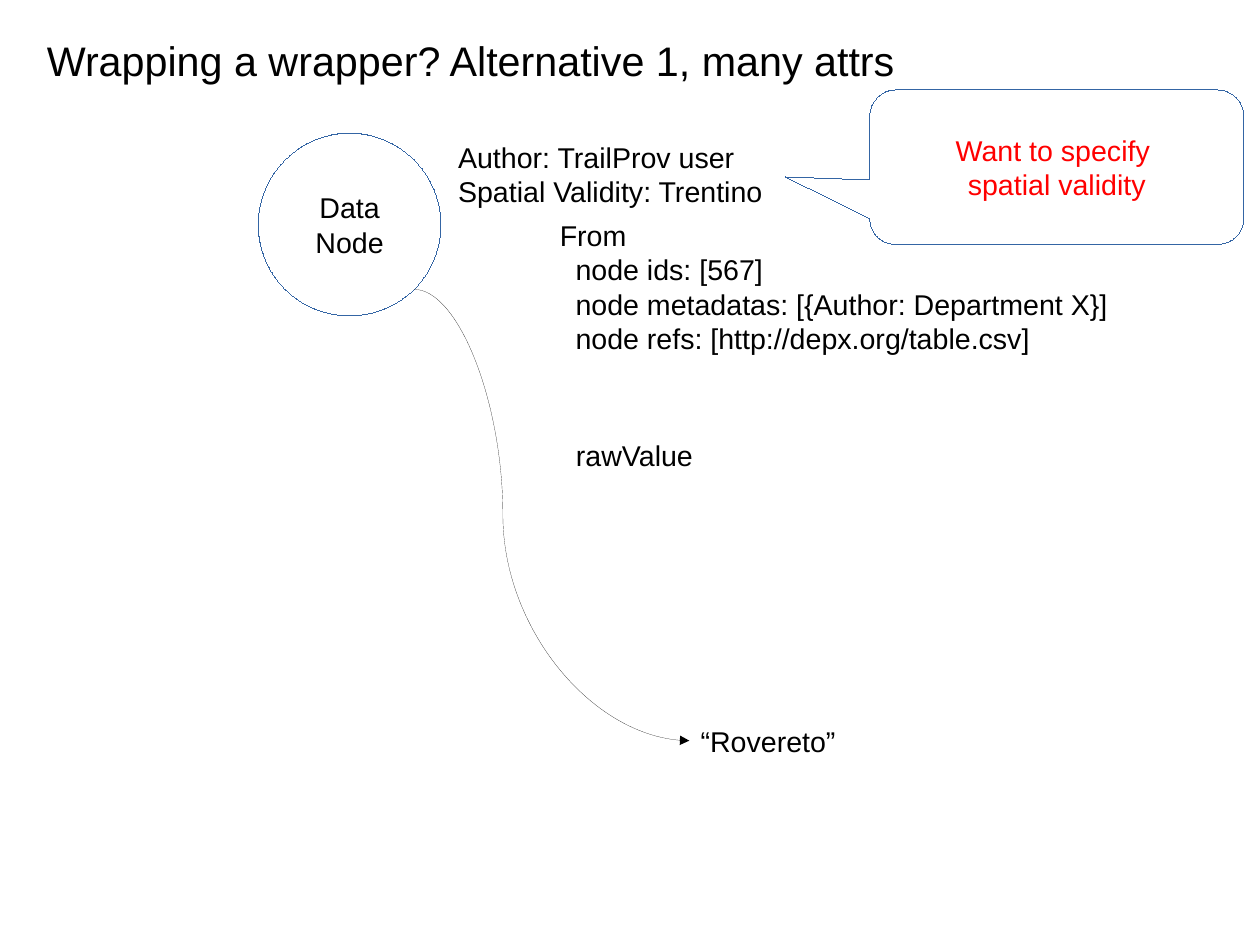
from dataclasses import dataclass

from lxml.etree import SubElement as Sub
from pptx import Presentation as Deck
from pptx.dml.color import RGBColor as Rgb
from pptx.enum.shapes import MSO_CONNECTOR as Link
from pptx.enum.shapes import MSO_SHAPE as Kind
from pptx.enum.text import MSO_ANCHOR as Anchor
from pptx.enum.text import MSO_AUTO_SIZE as Fit
from pptx.enum.text import PP_ALIGN as Align
from pptx.oxml.ns import qn
from pptx.shapes.autoshape import Shape
from pptx.shapes.connector import Connector as Wire
from pptx.slide import Slide
from pptx.util import Cm, Pt


@dataclass(frozen=True)
class Theme:
    font: str = "Arial"
    head: int = 26
    body: int = 18
    ink: Rgb = Rgb(0, 0, 0)
    red: Rgb = Rgb(255, 0, 0)
    blue: Rgb = Rgb(0x34, 0x65, 0xA4)
    paper: Rgb = Rgb(255, 255, 255)
    hair: int = 0


@dataclass(frozen=True)
class Box:
    left: float
    top: float
    width: float
    height: float

    def spans(self) -> list[Cm]:
        return [Cm(n) for n in (self.left, self.top, self.width, self.height)]


@dataclass(frozen=True)
class Label:
    box: Box
    lines: tuple[str, ...]
    size: int = Theme.body
    inset: float = 0


@dataclass(frozen=True)
class Bubble:
    kind: Kind
    box: Box
    lines: tuple[str, ...]
    color: Rgb = Theme.ink
    bends: tuple[float, ...] = ()


LOOK = Theme()

LABELS = [
    Label(Box(12.55, 9.6, 3.4, 0.97), ("rawValue",)),
    Label(Box(9.93, 2.98, 7.6, 1.68),
          ("Author: TrailProv user", "Spatial Validity: Trentino")),
    Label(Box(0.79, 0.66, 19.8, 1.27),
          ("Wrapping a wrapper? Alternative 1, many attrs",), LOOK.head),
    Label(Box(12.19, 4.72, 13, 3.3),
          ("From", "node ids: [567]",
           "node metadatas: [{Author: Department X}]",
           "node refs: [http://depx.org/table.csv]"), inset=0.35),
    Label(Box(15.32, 15.97, 3.8, 0.97), ("“Rovereto”",)),
]

NODE = Bubble(Kind.OVAL, Box(5.74, 2.96, 4.06, 4.06), ("Data", "Node"))
HINT = Bubble(Kind.ROUNDED_RECTANGULAR_CALLOUT, Box(19.33, 2, 8.31, 3.43),
              ("Want to specify ", "spatial validity"), LOOK.red,
              (-0.725, 0.064, 0.167))


def write(shape: Shape, lines: tuple[str, ...], *, size: int = LOOK.body,
          color: Rgb = LOOK.ink, align: Align = Align.LEFT,
          anchor: Anchor = Anchor.TOP, fit: Fit = Fit.NONE,
          wrap: bool = False, inset: float = 0) -> None:
    frame = shape.text_frame
    frame.word_wrap = wrap
    frame.auto_size = fit
    frame.vertical_anchor = anchor
    frame.text = "\n".join(lines)
    for row, para in enumerate(frame.paragraphs):
        para.alignment = align
        font = para.runs[0].font
        font.name, font.size = LOOK.font, Pt(size)
        font.color.rgb = color
        if row and inset:
            props = para._p.get_or_add_pPr()
            props.set("marL", str(Cm(inset)))
            props.set("indent", "0")


def stroke(shape: Shape | Wire, color: Rgb) -> None:
    shape.line.color.rgb = color
    shape._element.spPr.find(qn("a:ln")).set("w", str(LOOK.hair))


def note(slide: Slide, item: Label) -> None:
    shape = slide.shapes.add_textbox(*item.box.spans())
    write(shape, item.lines, size=item.size, inset=item.inset,
          fit=Fit.SHAPE_TO_FIT_TEXT, wrap=True)


def bubble(slide: Slide, item: Bubble) -> None:
    shape = slide.shapes.add_shape(item.kind, *item.box.spans())
    shape.shadow.inherit = False
    shape.fill.solid()
    shape.fill.fore_color.rgb = LOOK.paper
    stroke(shape, LOOK.blue)
    for spot, bend in enumerate(item.bends):
        shape.adjustments[spot] = bend
    write(shape, item.lines, color=item.color, align=Align.CENTER,
          anchor=Anchor.MIDDLE)


def curve(slide: Slide, start: tuple[float, float], end: tuple[float, float],
          bend: float) -> None:
    link = slide.shapes.add_connector(
        Link.CURVE, *(Cm(n) for n in (*start, *end)))
    stroke(link, LOOK.ink)
    props = link._element.spPr
    guides = props.find(qn("a:prstGeom")).find(qn("a:avLst"))
    Sub(guides, qn("a:gd"), name="adj1", fmla=f"val {round(bend * 100000)}")
    Sub(props.find(qn("a:ln")), qn("a:tailEnd"), type="triangle")
    Sub(props, qn("a:effectLst"))


def main() -> None:
    deck = Deck()
    deck.slide_width, deck.slide_height = Cm(28), Cm(21)
    slide = deck.slides.add_slide(deck.slide_layouts[6])
    bubble(slide, NODE)
    curve(slide, (9.2, 6.43), (15.32, 16.46), 0.323)
    for item in LABELS:
        note(slide, item)
    bubble(slide, HINT)
    deck.save("out.pptx")


if __name__ == "__main__":
    main()
